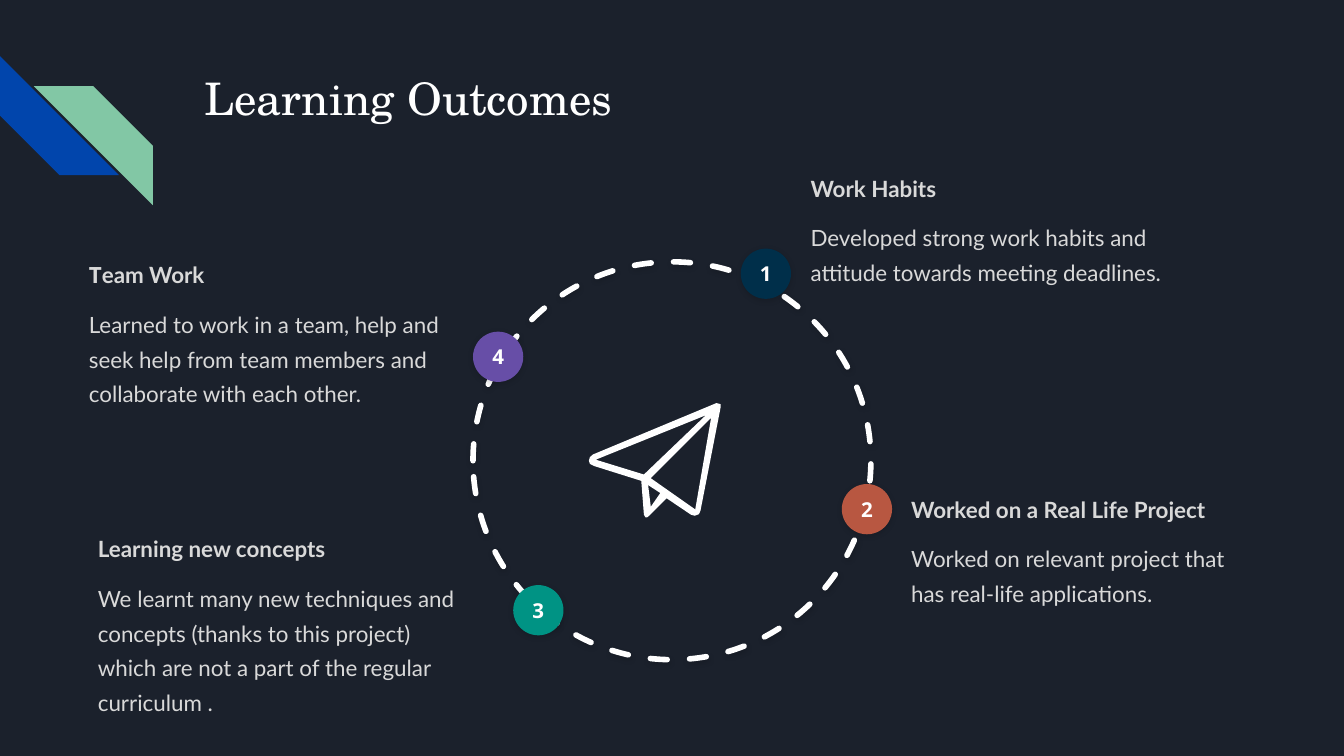
from dataclasses import dataclass

from lxml.etree import SubElement
from pptx import Presentation
from pptx.dml.color import RGBColor
from pptx.enum.dml import MSO_LINE
from pptx.enum.shapes import MSO_SHAPE
from pptx.enum.text import MSO_ANCHOR, PP_ALIGN
from pptx.oxml.ns import qn
from pptx.util import Cm, Pt


@dataclass(frozen=True)
class Theme:
    background: str = "1B212C"
    white: str = "FFFFFF"
    body: str = "D9D9D9"
    blue: str = "0145AC"
    green: str = "82C7A5"
    shadow: str = "000000"
    title_font: str = "TeX Gyre Schola"
    body_font: str = "Lato"
    badge_font: str = "Open Sans"
    title_size: int = 24
    body_size: int = 12
    badge_size: int = 11


class SlideBuilder:
    def __init__(self, slide, theme):
        self.slide = slide
        self.theme = theme
        slide.background.fill.solid()
        slide.background.fill.fore_color.rgb = RGBColor.from_string(theme.background)

    def paint(self, shape, fill):
        shape.shadow.inherit = False
        shape.line.fill.background()
        shape.fill.solid()
        shape.fill.fore_color.rgb = RGBColor.from_string(fill)

    def soft_shadow(self, shape):
        effects = shape.element.spPr.find(qn("a:effectLst"))
        outer = SubElement(effects, qn("a:outerShdw"), blurRad=str(Pt(3)),
                           dist=str(Pt(1)), dir="5400000", algn="t", rotWithShape="0")
        color = SubElement(outer, qn("a:srgbClr"), val=self.theme.shadow)
        SubElement(color, qn("a:alpha"), val="15000")

    def run(self, paragraph, text, font, size, color, bold=False):
        run = paragraph.add_run()
        run.text = text
        run.font.name = font
        run.font.size = Pt(size)
        run.font.bold = bold
        run.font.color.rgb = RGBColor.from_string(color)

    def text_frame(self, shape, left=0, top=0, right=0, bottom=0):
        frame = shape.text_frame
        frame.word_wrap = True
        frame.margin_left, frame.margin_top = Cm(left), Cm(top)
        frame.margin_right, frame.margin_bottom = Cm(right), Cm(bottom)
        return frame

    def stripe(self, left, top, size, fill, rotation=0, mirrored=False):
        shape = self.slide.shapes.add_shape(
            MSO_SHAPE.DIAGONAL_STRIPE, Cm(left), Cm(top), Cm(size), Cm(size))
        shape.rotation = rotation
        if mirrored:
            shape.element.spPr.find(qn("a:xfrm")).set("flipH", "1")
        self.paint(shape, fill)

    def title(self, left, top, width, height, text):
        box = self.slide.shapes.add_textbox(Cm(left), Cm(top), Cm(width), Cm(height))
        frame = self.text_frame(box, 0.25, 0.25, 0.25, 0.25)
        self.run(frame.paragraphs[0], text, self.theme.title_font,
                 self.theme.title_size, self.theme.white)

    def circle(self, left, top, size):
        return self.slide.shapes.add_shape(
            MSO_SHAPE.OVAL, Cm(left), Cm(top), Cm(size), Cm(size))

    def ring(self, left, top, size):
        shape = self.circle(left, top, size)
        shape.shadow.inherit = False
        shape.fill.background()
        shape.line.color.rgb = RGBColor.from_string(self.theme.white)
        shape.line.width = Pt(3)
        shape.line.dash_style = MSO_LINE.DASH
        shape.element.spPr.find(qn("a:ln")).set("cap", "rnd")
        self.soft_shadow(shape)

    def badge(self, left, top, number, fill):
        shape = self.circle(left, top, 0.95)
        self.paint(shape, fill)
        self.soft_shadow(shape)
        frame = self.text_frame(shape)
        frame.vertical_anchor = MSO_ANCHOR.MIDDLE
        paragraph = frame.paragraphs[0]
        paragraph.alignment = PP_ALIGN.CENTER
        self.run(paragraph, str(number), self.theme.badge_font,
                 self.theme.badge_size, self.theme.white, bold=True)

    def outline(self, left, top, contours, fill):
        """Draw closed contours given in hundredths of a centimetre."""
        first, *holes = contours
        builder = self.slide.shapes.build_freeform(*first[0], scale=Cm(0.01))
        builder.add_line_segments(first[1:], close=True)
        for hole in holes:
            builder.move_to(*hole[0])
            builder.add_line_segments(hole[1:], close=True)
        self.paint(builder.convert_to_shape(Cm(left), Cm(top)), fill)

    def outcome(self, left, top, width, height, heading, description):
        box = self.slide.shapes.add_textbox(Cm(left), Cm(top), Cm(width), Cm(height))
        frame = self.text_frame(box, top=0.08, right=0.46, bottom=0.08)
        theme = self.theme
        head, detail = frame.paragraphs[0], frame.add_paragraph()
        head.line_spacing = detail.line_spacing = 1.3
        detail.space_before = Pt(8)
        for text, font in heading:
            self.run(head, text, font, theme.body_size, theme.body, bold=True)
        self.run(detail, description, theme.body_font, theme.body_size, theme.body)


THEME = Theme()

BADGES = [
    (14, 4.7, "002F4A"),
    (15.91, 9.15, "B85741"),
    (9.7, 11.06, "009384"),
    (8.94, 6.27, "674EA7"),
]

OUTCOMES = [
    (15.32, 3.07, 7.98, 4.22, [("Work Habits", THEME.body_font)],
     "Developed strong work habits and attitude towards meeting deadlines."),
    (1.85, 9.88, 7.52, 3.68, [("Learning new concepts", THEME.body_font)],
     "We learnt many new techniques and concepts (thanks to this project) "
     "which are not a part of the regular curriculum ."),
    (1.68, 4.7, 7.14, 3.33,
     [("T", THEME.badge_font), ("eam Work", THEME.body_font)],
     "Learned to work in a team, help and seek help from team members "
     "and collaborate with each other."),
    (17.22, 9.14, 6.4, 3.3, [("Worked on a Real Life Project", THEME.body_font)],
     "Worked on relevant project that has real-life applications."),
]

# Paper plane: silhouette, then tail, right wing and left wing openings
PLANE = [
    [(0, 109), (2, 115), (10, 119), (99, 147), (104, 211), (107, 216),
     (110, 216), (114, 213), (147, 180), (193, 211), (200, 213), (208, 210),
     (211, 203), (249, 8), (249, 2), (241, 0), (8, 97), (2, 102)],
    [(117, 196), (112, 155), (135, 170)],
    [(201, 201), (117, 142), (231, 28)],
    [(221, 23), (104, 135), (13, 107)],
]


def main():
    presentation = Presentation()
    presentation.slide_width, presentation.slide_height = Cm(25.4), Cm(14.29)
    slide = presentation.slides.add_slide(presentation.slide_layouts[6])
    builder = SlideBuilder(slide, THEME)

    # Corner decoration and title
    builder.stripe(0, 1.06, 2.25, THEME.blue, rotation=270)
    builder.stripe(0.64, 1.63, 2.25, THEME.green, mirrored=True)
    builder.title(3.61, 1.09, 19.56, 2.54, "Learning Outcomes")

    # Ring with numbered badges and the plane inside
    builder.ring(8.94, 4.95, 7.52)
    for number, (left, top, fill) in enumerate(BADGES, start=1):
        builder.badge(left, top, number, fill)
    builder.outline(11.13, 7.62, PLANE, THEME.white)

    # Outcome texts
    for outcome in OUTCOMES:
        builder.outcome(*outcome)

    presentation.save("out.pptx")


if __name__ == "__main__":
    main()
